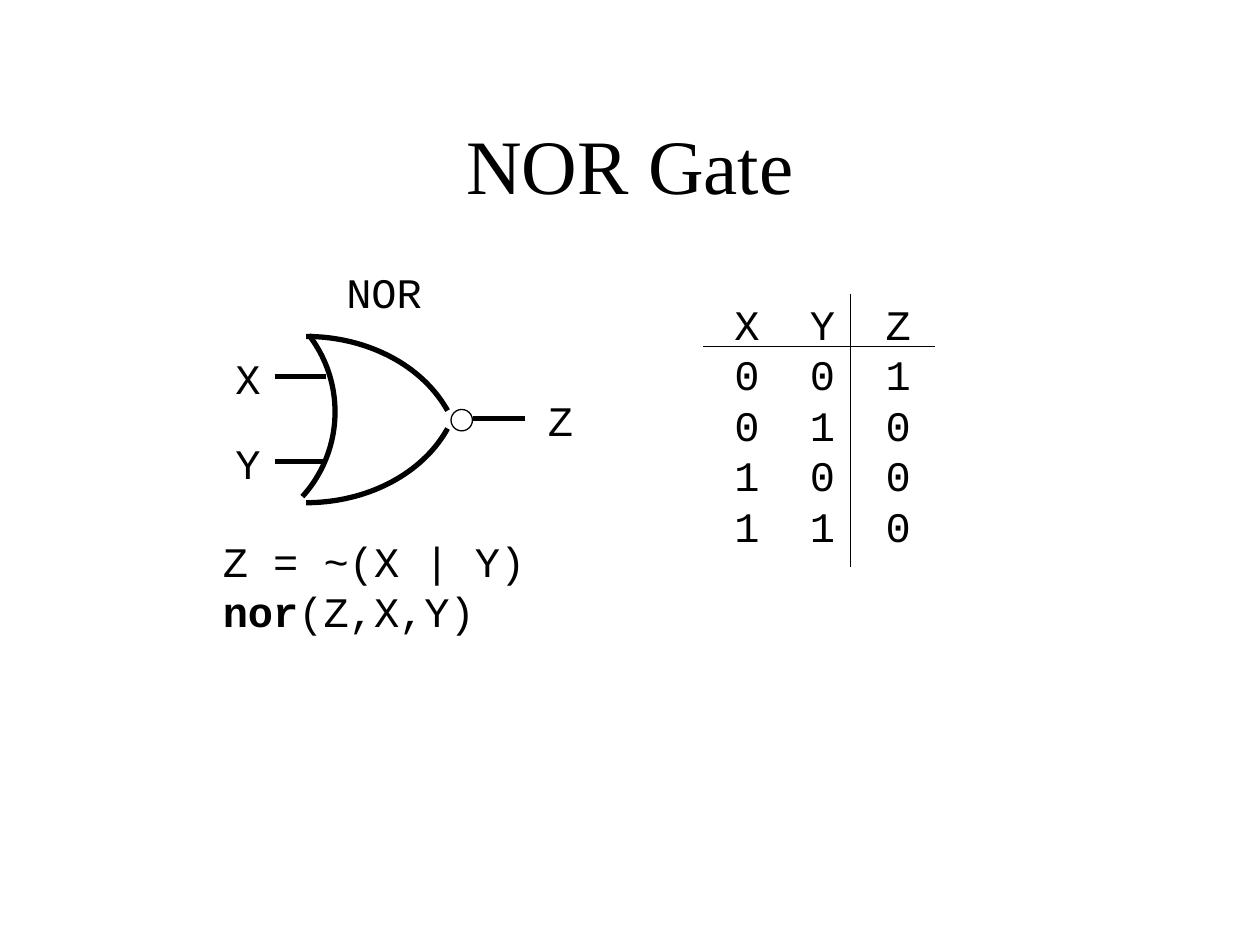
import pptx
import pptx.util
import pptx.dml.color
import pptx.enum.shapes
import pptx.enum.text
import pptx.oxml.ns
from lxml import etree

Inches = pptx.util.Inches
COLORS = {"ink": "000000", "paper": "FFFFFF"}
THICK, THIN = 3, 0.75


class SlideBuilder:
    code_font = "Courier New"
    title_font = "Times New Roman"

    def __init__(self, slide):
        self.slide = slide
        slide.background.fill.solid()
        slide.background.fill.fore_color.rgb = self.color("paper")

    def color(self, name):
        return pptx.dml.color.RGBColor.from_string(COLORS[name])

    def set_line(self, shape, weight):
        shape.line.color.rgb = self.color("ink")
        shape.line.width = pptx.util.Pt(weight)

    def text(self, left, top, width, height, lines, font=code_font, size=24):
        shape = self.slide.shapes.add_textbox(
            Inches(left), Inches(top), Inches(width), Inches(height))
        frame = shape.text_frame
        frame.word_wrap = False
        for index, runs in enumerate(lines):
            paragraph = frame.paragraphs[0] if index == 0 else frame.add_paragraph()
            paragraph.font.name = font
            paragraph.font.size = pptx.util.Pt(size)
            paragraph.font.color.rgb = self.color("ink")
            for content, bold in runs:
                run = paragraph.add_run()
                run.text = content
                if bold:
                    run.font.bold = True
        return frame

    def title(self, left, top, width, height, content):
        frame = self.text(left, top, width, height, [[(content, False)]],
                          self.title_font, 44)
        frame.word_wrap = True
        frame.vertical_anchor = pptx.enum.text.MSO_ANCHOR.MIDDLE
        frame.paragraphs[0].alignment = pptx.enum.text.PP_ALIGN.CENTER

    def columns(self, left, top, width, height, rows, step):
        lines = [[("\t".join(row), False)] for row in rows]
        frame = self.text(left, top, width, height, lines)
        qualified = pptx.oxml.ns.qn
        for paragraph in frame.paragraphs:
            properties = paragraph._p.get_or_add_pPr()
            tabs = etree.Element(qualified("a:tabLst"))
            for index in range(1, len(rows[0])):
                etree.SubElement(tabs, qualified("a:tab"),
                                 pos=str(Inches(step * index)), algn="l")
            properties.find(qualified("a:defRPr")).addprevious(tabs)

    def outline(self, kind, left, top, width, height, weight):
        shape = self.slide.shapes.add_shape(
            kind, Inches(left), Inches(top), Inches(width), Inches(height))
        shape.shadow.inherit = False
        shape.fill.background()
        self.set_line(shape, weight)
        return shape

    def arc(self, left, top, width, height, start, end):
        shape = self.outline(pptx.enum.shapes.MSO_SHAPE.ARC,
                             left, top, width, height, THICK)
        for index, degrees in enumerate((start, end)):
            shape.adjustments[index] = degrees * 0.6

    def circle(self, left, top, diameter):
        self.outline(pptx.enum.shapes.MSO_SHAPE.OVAL,
                     left, top, diameter, diameter, THIN)

    def line(self, x1, y1, x2, y2, weight):
        connector = self.slide.shapes.add_connector(
            pptx.enum.shapes.MSO_CONNECTOR.STRAIGHT,
            Inches(x1), Inches(y1), Inches(x2), Inches(y2))
        self.set_line(connector, weight)
        etree.SubElement(connector._element.spPr, pptx.oxml.ns.qn("a:effectLst"))


def main():
    presentation = pptx.Presentation()
    presentation.slide_width = Inches(10)
    presentation.slide_height = Inches(7.5)
    builder = SlideBuilder(presentation.slides.add_slide(presentation.slide_layouts[6]))

    builder.title(0.75, 0.67, 8.5, 1.25, "NOR Gate")

    builder.arc(1.2, 2.67, 2.46, 1.99, 270, 340.1)
    builder.arc(1.2, 2, 2.46, 1.99, 19.9, 90)
    builder.arc(0.66, 2.27, 2, 2, 322.3, 42.2)

    for y in (2.99, 3.66):
        builder.line(2.59, y, 2.18, y, THICK)
    builder.line(4.17, 3.32, 3.75, 3.32, THICK)

    builder.text(2.65, 2.07, 0.8, 0.5, [[("NOR", False)]])
    for label, left, top in (("X", 1.77, 2.75), ("Y", 1.77, 3.42), ("Z", 4.25, 3.08)):
        builder.text(left, top, 0.4, 0.5, [[(label, False)]])

    inputs = [(x, y) for x in (0, 1) for y in (0, 1)]
    truth_rows = ["XYZ"] + [f"{x}{y}{int(not (x or y))}" for x, y in inputs]
    builder.columns(5.73, 2.32, 1.6, 2.1, truth_rows, 0.6)
    builder.line(5.58, 2.75, 7.42, 2.75, THIN)
    builder.line(6.75, 2.33, 6.75, 4.5, THIN)

    builder.circle(3.58, 3.25, 0.17)
    builder.text(1.67, 4.2, 2.6, 0.9, [
        [("Z = ~(X | Y)", False)],
        [("nor", True), ("(Z,X,Y)", False)],
    ])

    presentation.save("out.pptx")


if __name__ == "__main__":
    main()
